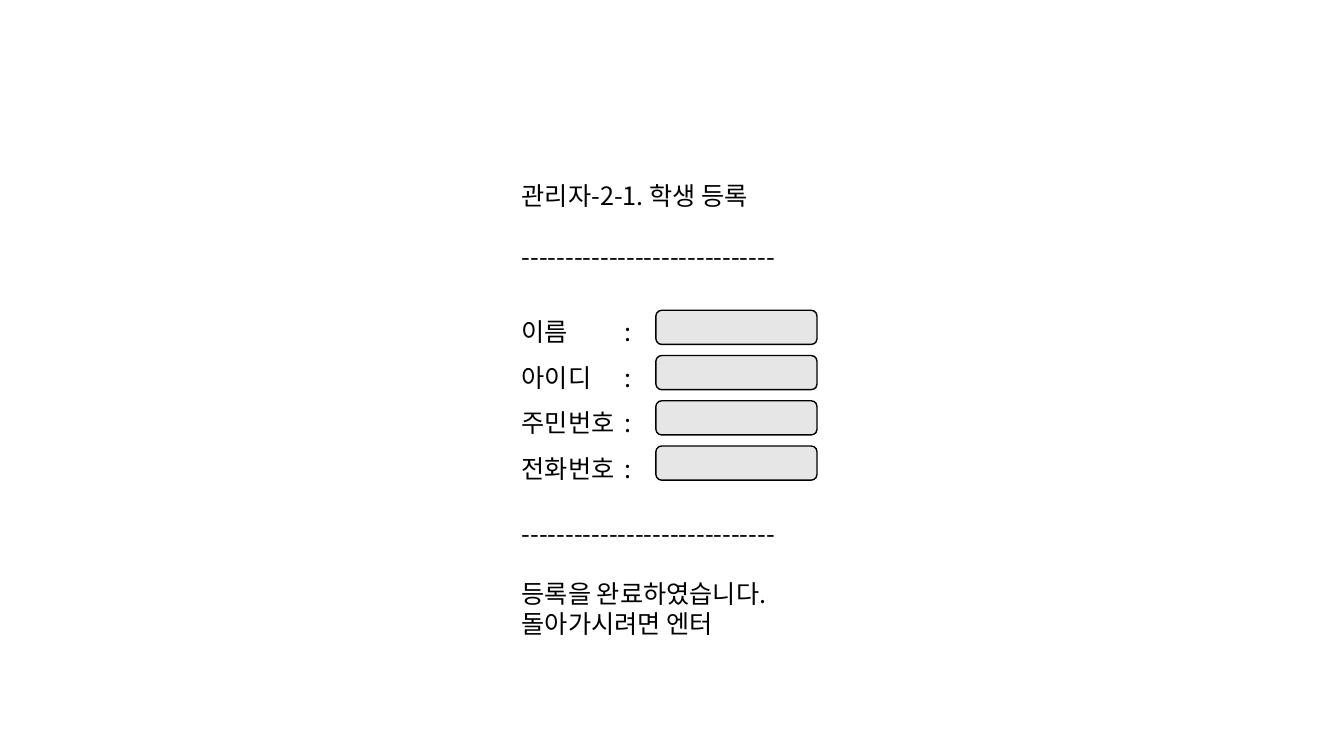
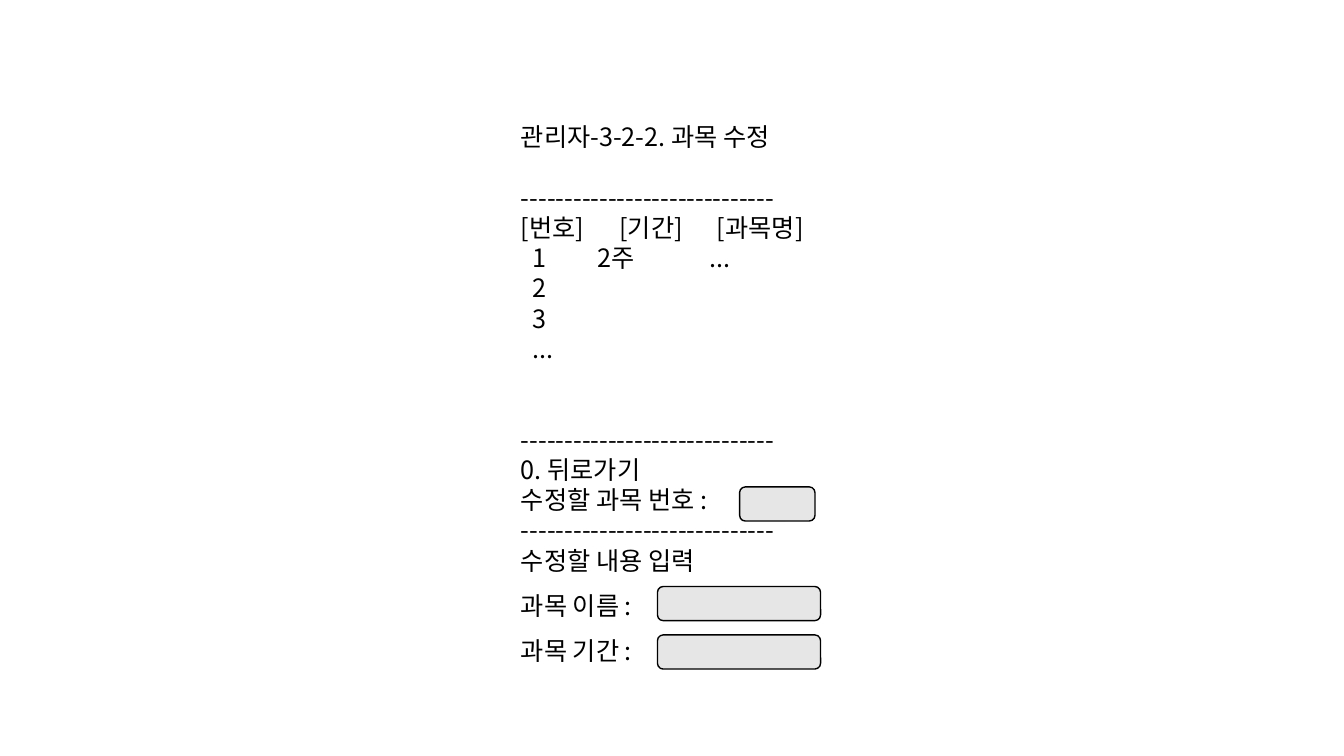
from dataclasses import dataclass

from lxml import etree
from pptx import Presentation
from pptx.dml.color import RGBColor
from pptx.enum import shapes, text
from pptx.oxml import ns
from pptx.util import Cm, Pt


@dataclass(frozen=True)
class Theme:
    font: str = "Noto Sans CJK KR"
    ink: RGBColor = RGBColor(0, 0, 0)
    paper: RGBColor = RGBColor(255, 255, 255)
    field: RGBColor = RGBColor(0xE7, 0xE6, 0xE6)
    size: float = 18
    pitch: float = 21.6
    border: float = 1
    rule: str = "-" * 29


@dataclass(frozen=True)
class Line:
    words: str
    gap: float = 0
    lead: float = 1
    tabs: tuple = ()


class Deck:
    def __init__(self, theme):
        self.theme = theme
        self.file = Presentation()
        self.file.slide_width = Cm(33.87)
        self.file.slide_height = Cm(19.05)
        self.slide = None

    def page(self):
        self.slide = self.file.slides.add_slide(self.file.slide_layouts[6])

    def shape(self, kind, left, top, width, height):
        item = self.slide.shapes.add_shape(
            kind, Cm(left), Cm(top), Cm(width), Cm(height))
        item.shadow.inherit = False
        return item

    def field(self, left, top, width, height=0.86):
        box = self.shape(shapes.MSO_SHAPE.ROUNDED_RECTANGLE,
                         left, top, width, height)
        box.fill.solid()
        box.fill.fore_color.rgb = self.theme.field
        box.line.color.rgb = self.theme.ink
        box.line.width = Pt(self.theme.border)

    def panel(self, left, top, width, height, lines):
        box = self.shape(shapes.MSO_SHAPE.RECTANGLE, left, top, width, height)
        box.fill.background()
        box.line.color.rgb = self.theme.paper
        box.line.width = 0
        frame = box.text_frame
        frame.word_wrap = True
        frame.vertical_anchor = text.MSO_ANCHOR.MIDDLE
        frame.margin_right = 0
        frame.text = "\n".join(line.words for line in lines)
        for para, line in zip(frame.paragraphs, lines):
            self.format(para, line)

    def format(self, para, line):
        look = self.theme
        para.alignment = text.PP_ALIGN.LEFT
        para.line_spacing = Pt(look.pitch * line.lead)
        para.space_before = Pt(look.pitch * line.gap)
        if line.tabs:
            stops = etree.SubElement(para._p.get_or_add_pPr(),
                                     ns.qn("a:tabLst"))
            for stop in line.tabs:
                etree.SubElement(stops, ns.qn("a:tab"),
                                 pos=str(Cm(stop)), algn="l")
        for run in para.runs:
            run.font.size = Pt(look.size)
            run.font.color.rgb = look.ink
            run.font.name = look.font
            etree.SubElement(run.font._element, ns.qn("a:ea"),
                             typeface=look.font)


def enroll(deck):
    rule = deck.theme.rule
    names = ["이름", "아이디", "주민번호", "전화번호"]
    rows = [Line(f"{name}\t:", gap=0 if i else 1, lead=1.5, tabs=(2.6,))
            for i, name in enumerate(names)]
    deck.page()
    deck.panel(12.9, 4.37, 8.08, 11.91, [
        Line("관리자-2-1. 학생 등록"),
        Line(rule, gap=1),
        *rows,
        Line(rule, gap=1.15),
        Line("등록을 완료하였습니다.", gap=1),
        Line("돌아가시려면 엔터"),
    ])
    for i in range(len(names)):
        deck.field(16.53, 7.82 + i * 1.14, 4.06)


def revise(deck):
    rule = deck.theme.rule
    cols = (0.28, 1.92, 4.76)
    rows = ["\t1\t2주\t...", "\t2", "\t3", "\t..."]
    deck.page()
    deck.panel(12.88, 2.87, 8.1, 14.1, [
        Line("관리자-3-2-2. 과목 수정"),
        Line(rule, gap=1),
        Line("[번호]\t[기간]\t[과목명]", tabs=(2.48, 4.94)),
        *[Line(row, tabs=cols) for row in rows],
        Line(rule, gap=2),
        Line("0. 뒤로가기"),
        Line("수정할 과목 번호 :"),
        Line(rule),
        Line("수정할 내용 입력"),
        Line("과목 이름 :", lead=1.5),
        Line("과목 기간 :", lead=1.5),
    ])
    deck.field(18.64, 12.27, 1.9)
    for i in range(2):
        deck.field(16.57, 14.78 + i * 1.22, 4.11)


deck = Deck(Theme())
enroll(deck)
revise(deck)
deck.file.save("out.pptx")
